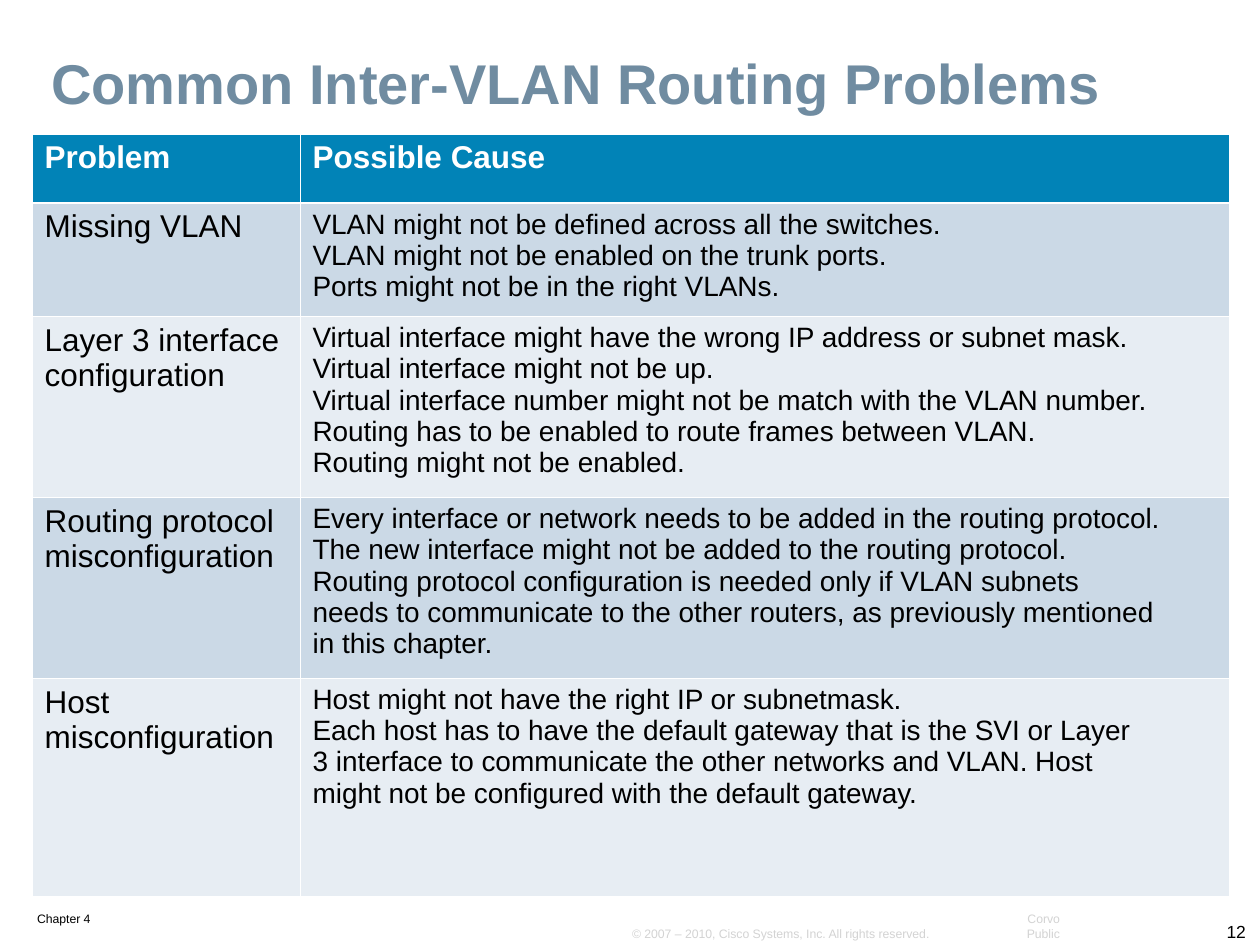
"""Build the slide on common inter-VLAN routing problems."""
from lxml.etree import SubElement as Sub
from pptx import Presentation
from pptx.dml.color import RGBColor as RGB
from pptx.enum.text import MSO_ANCHOR as Anchor, MSO_AUTO_SIZE as Auto, PP_ALIGN as Align
from pptx.oxml.ns import qn
from pptx.util import Pt

PX = 914400 / 126
HUES = {"title": "708CA1", "head": "0183B7", "odd": "CBD9E6", "even": "E7EDF3",
        "white": "FFFFFF", "text": "000000", "faint": "D3D3D3"}


def emu(*sizes):
    return [round(size * PX) for size in sizes]


def write(frame, text, size=16, hue="text", bold=False, align=Align.LEFT, gap=1.0):
    for i, line in enumerate(text.split("\n")):
        para = frame.paragraphs[0] if i == 0 else frame.add_paragraph()
        para.alignment = align
        para.line_spacing = gap
        run = para.add_run()
        run.text = line
        run.font.name = "Arial"
        run.font.size = Pt(size)
        run.font.bold = bold
        run.font.color.rgb = RGB.from_string(HUES[hue])


deck = Presentation()
deck.slide_width, deck.slide_height = emu(1260, 945)
slide = deck.slides.add_slide(deck.slide_layouts[6])

foots = [
    ("Chapter 4", (26, 905, 132, 26), True, {"size": 7}),
    ("12", (1155, 914, 102, 33), False, {"size": 10, "align": Align.RIGHT}),
    ("© 2007 – 2010, Cisco Systems, Inc. All rights reserved.",
     (621, 920, 321, 26), False, {"size": 7, "hue": "faint"}),
    ("Corvo Public", (982, 920, 89, 26), False,
     {"size": 7, "hue": "faint", "align": Align.RIGHT}),
]
for text, area, wrap, form in foots:
    frame = slide.shapes.add_textbox(*emu(*area)).text_frame
    frame.word_wrap = wrap
    frame.auto_size = Auto.SHAPE_TO_FIT_TEXT
    frame.vertical_anchor = Anchor.BOTTOM
    frame.margin_left, frame.margin_right = emu(11, 11)
    frame.margin_top, frame.margin_bottom = emu(5, 5)
    write(frame, text, **form)

title = slide.shapes.add_textbox(*emu(39, 50, 1174, 102)).text_frame
title.word_wrap = True
write(title, "Common Inter-VLAN Routing Problems", size=32, hue="title", bold=True, gap=0.9)

rows = [
    (69, "Problem", "Possible Cause"),
    (113, "Missing VLAN",
     "VLAN might not be defined across all the switches.\n"
     "VLAN might not be enabled on the trunk ports.\n"
     "Ports might not be in the right VLANs."),
    (181, "Layer 3 interface configuration",
     "Virtual interface might have the wrong IP address or subnet mask.\n"
     "Virtual interface might not be up.\n"
     "Virtual interface number might not be match with the VLAN number.\n"
     "Routing has to be enabled to route frames between VLAN.\n"
     "Routing might not be enabled."),
    (181, "Routing protocol misconfiguration",
     "Every interface or network needs to be added in the routing protocol.\n"
     "The new interface might not be added to the routing protocol.\n"
     "Routing protocol configuration is needed only if VLAN subnets\n"
     "needs to communicate to the other routers, as previously mentioned\n"
     "in this chapter."),
    (218, "Host misconfiguration",
     "Host might not have the right IP or subnetmask.\n"
     "Each host has to have the default gateway that is the SVI or Layer\n"
     "3 interface to communicate the other networks and VLAN. Host\n"
     "might not be configured with the default gateway."),
]
grid = slide.shapes.add_table(len(rows), 2, *emu(32, 134, 1197, 762)).table
for col, width in zip(grid.columns, emu(268, 929)):
    col.width = width
for r, (high, *texts) in enumerate(rows):
    grid.rows[r].height = emu(high)[0]
    fill = "head" if r == 0 else "odd" if r % 2 else "even"
    for c, text in enumerate(texts):
        cell = grid.cell(r, c)
        props = cell._tc.get_or_add_tcPr()
        for side in "LRTB":
            thick = (r, side) in ((0, "B"), (1, "T"))
            edge = Sub(props, qn(f"a:ln{side}"), w=str(Pt(1.47 if thick else 0.45)))
            Sub(Sub(edge, qn("a:solidFill")), qn("a:srgbClr"), val=HUES["white"])
        cell.fill.solid()
        cell.fill.fore_color.rgb = RGB.from_string(HUES[fill])
        write(cell.text_frame, text, size=16 if r and c else 18,
              hue="text" if r else "white", bold=r == 0)

deck.save("out.pptx")
